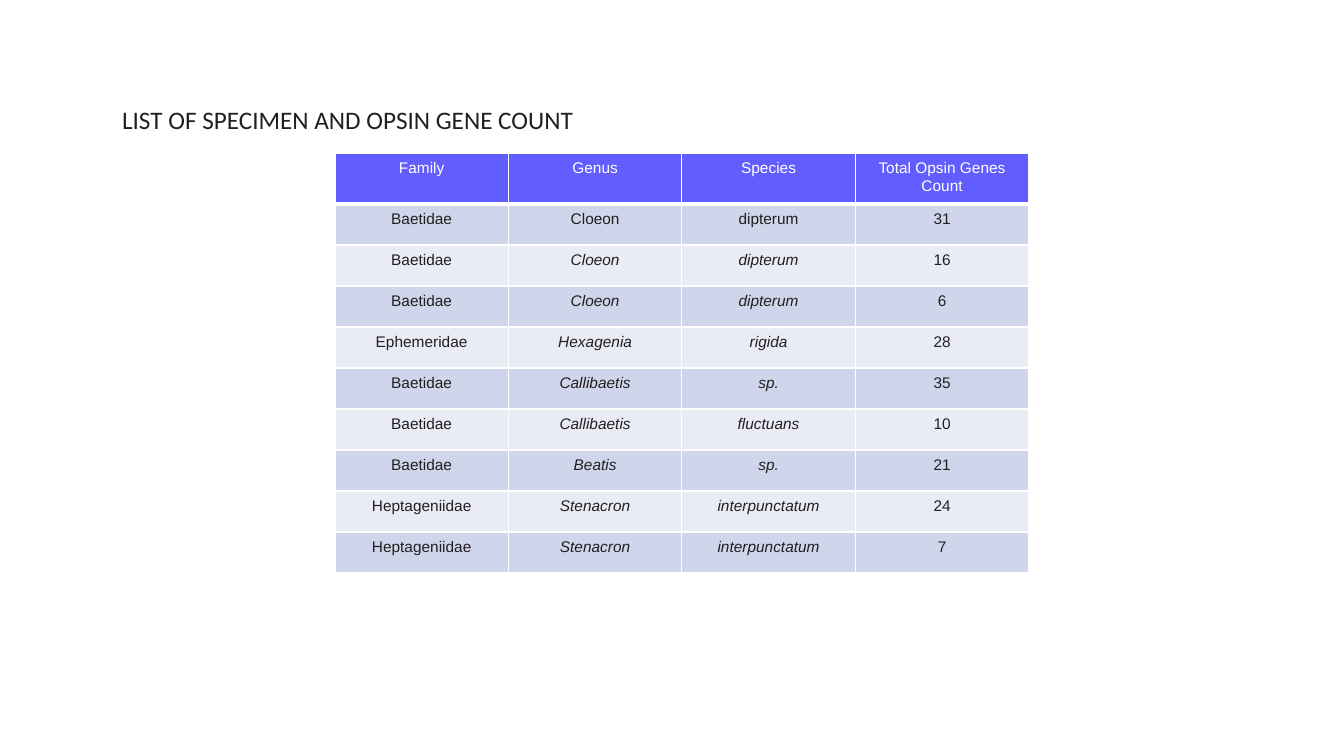
from dataclasses import dataclass
from typing import NamedTuple

import pptx
import pptx.dml.color
import pptx.enum.text
import pptx.oxml
import pptx.oxml.ns
import pptx.util

EMU_PER_PX = 914400 / 100.8
HEADINGS = ("Family", "Genus", "Species", "Total Opsin Genes Count")


@dataclass(frozen=True)
class Theme:
    ink: str = "231F20"
    white: str = "FFFFFF"
    header: str = "625DFF"
    bands: tuple[str, str] = ("CFD5EA", "E9EBF5")
    title_font: str = "Calibri"
    table_font: str = "Arial"
    title_size: int = 18
    table_size: int = 11
    rule: int = 1
    header_rule: int = 3


class Box(NamedTuple):
    left: int
    top: int
    width: int
    height: int


class Specimen(NamedTuple):
    family: str
    genus: str
    species: str
    opsins: int
    italic: bool = True


THEME = Theme()
SLIDE = Box(0, 0, 1344, 756)
TITLE = Box(112, 99, 482, 40)
TABLE = Box(335, 153, 694, 410)
CELL_MARGIN = 7

SPECIMENS = (
    Specimen("Baetidae", "Cloeon", "dipterum", 31, italic=False),
    Specimen("Baetidae", "Cloeon", "dipterum", 16),
    Specimen("Baetidae", "Cloeon", "dipterum", 6),
    Specimen("Ephemeridae", "Hexagenia", "rigida", 28),
    Specimen("Baetidae", "Callibaetis", "sp.", 35),
    Specimen("Baetidae", "Callibaetis", "fluctuans", 10),
    Specimen("Baetidae", "Beatis", "sp.", 21),
    Specimen("Heptageniidae", "Stenacron", "interpunctatum", 24),
    Specimen("Heptageniidae", "Stenacron", "interpunctatum", 7),
)


def px(n: int) -> pptx.util.Emu:
    return pptx.util.Emu(round(n * EMU_PER_PX))


def rgb(color: str) -> pptx.dml.color.RGBColor:
    return pptx.dml.color.RGBColor.from_string(color)


def set_font(p, name: str, size: int, color: str, italic: bool = False) -> None:
    p.font.name = name
    p.font.size = pptx.util.Pt(size)
    p.font.color.rgb = rgb(color)
    p.font.bold = False
    p.font.italic = italic


def set_borders(cell, widths: dict[str, int]) -> None:
    """Draw white cell borders; widths maps L, R, T and B to points."""
    tc_pr = cell._tc.get_or_add_tcPr()
    for i, (side, width) in enumerate(widths.items()):
        tc_pr.insert(i, pptx.oxml.parse_xml(
            f'<a:ln{side} {pptx.oxml.ns.nsdecls("a")} w="{pptx.util.Pt(width)}">'
            f'<a:solidFill><a:srgbClr val="{THEME.white}"/></a:solidFill></a:ln{side}>'))


def fill_cell(cell, text: str, fill: str, color: str, italic: bool = False) -> None:
    cell.text = text
    cell.fill.solid()
    cell.fill.fore_color.rgb = rgb(fill)
    cell.margin_left = cell.margin_right = px(CELL_MARGIN)
    cell.margin_top = cell.margin_bottom = px(CELL_MARGIN)
    p = cell.text_frame.paragraphs[0]
    p.alignment = pptx.enum.text.PP_ALIGN.CENTER
    set_font(p, THEME.table_font, THEME.table_size, color, italic)


def add_title(slide, text: str) -> None:
    sp = slide.shapes.title
    sp.left, sp.top, sp.width, sp.height = map(px, TITLE)
    tf = sp.text_frame
    tf.text = text
    tf.word_wrap = False
    tf.auto_size = pptx.enum.text.MSO_AUTO_SIZE.SHAPE_TO_FIT_TEXT
    tf.vertical_anchor = pptx.enum.text.MSO_ANCHOR.TOP
    p = tf.paragraphs[0]
    p.alignment = pptx.enum.text.PP_ALIGN.LEFT
    set_font(p, THEME.title_font, THEME.title_size, THEME.ink)


def add_specimen_table(slide) -> None:
    table = slide.shapes.add_table(
        len(SPECIMENS) + 1, len(HEADINGS), *map(px, TABLE)).table
    sides = dict.fromkeys("LRTB", THEME.rule)
    for col, heading in enumerate(HEADINGS):
        cell = table.cell(0, col)
        fill_cell(cell, heading, THEME.header, THEME.white)
        set_borders(cell, sides | {"B": THEME.header_rule})
    for row, item in enumerate(SPECIMENS, start=1):
        fill = THEME.bands[(row - 1) % 2]
        top = THEME.header_rule if row == 1 else THEME.rule
        values = (item.family, item.genus, item.species, str(item.opsins))
        for col, value in enumerate(values):
            cell = table.cell(row, col)
            italic = item.italic and HEADINGS[col] in ("Genus", "Species")
            fill_cell(cell, value, fill, THEME.ink, italic)
            set_borders(cell, sides | {"T": top})


def main() -> None:
    prs = pptx.Presentation()
    prs.slide_width, prs.slide_height = px(SLIDE.width), px(SLIDE.height)
    slide = prs.slides.add_slide(prs.slide_layouts.get_by_name("Title Only"))
    add_specimen_table(slide)
    add_title(slide, "LIST OF SPECIMEN AND OPSIN GENE COUNT")
    prs.save("out.pptx")


if __name__ == "__main__":
    main()
